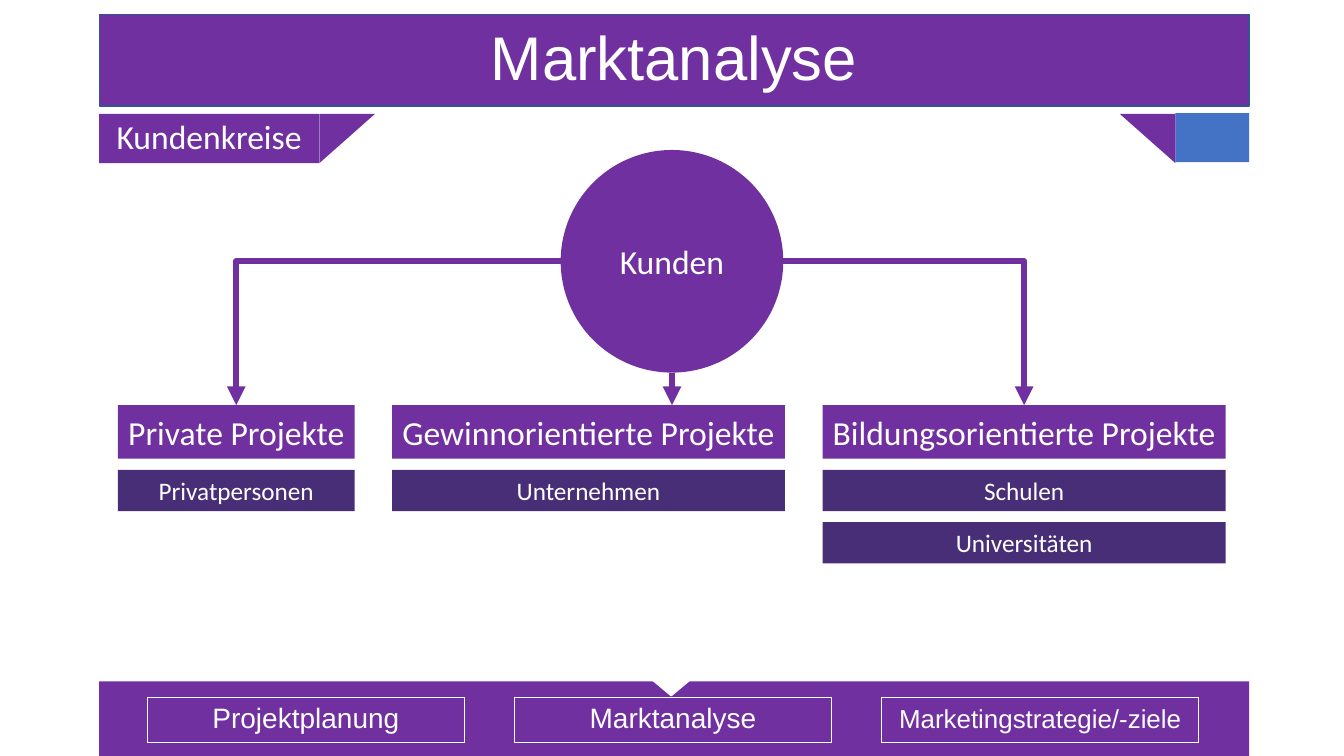
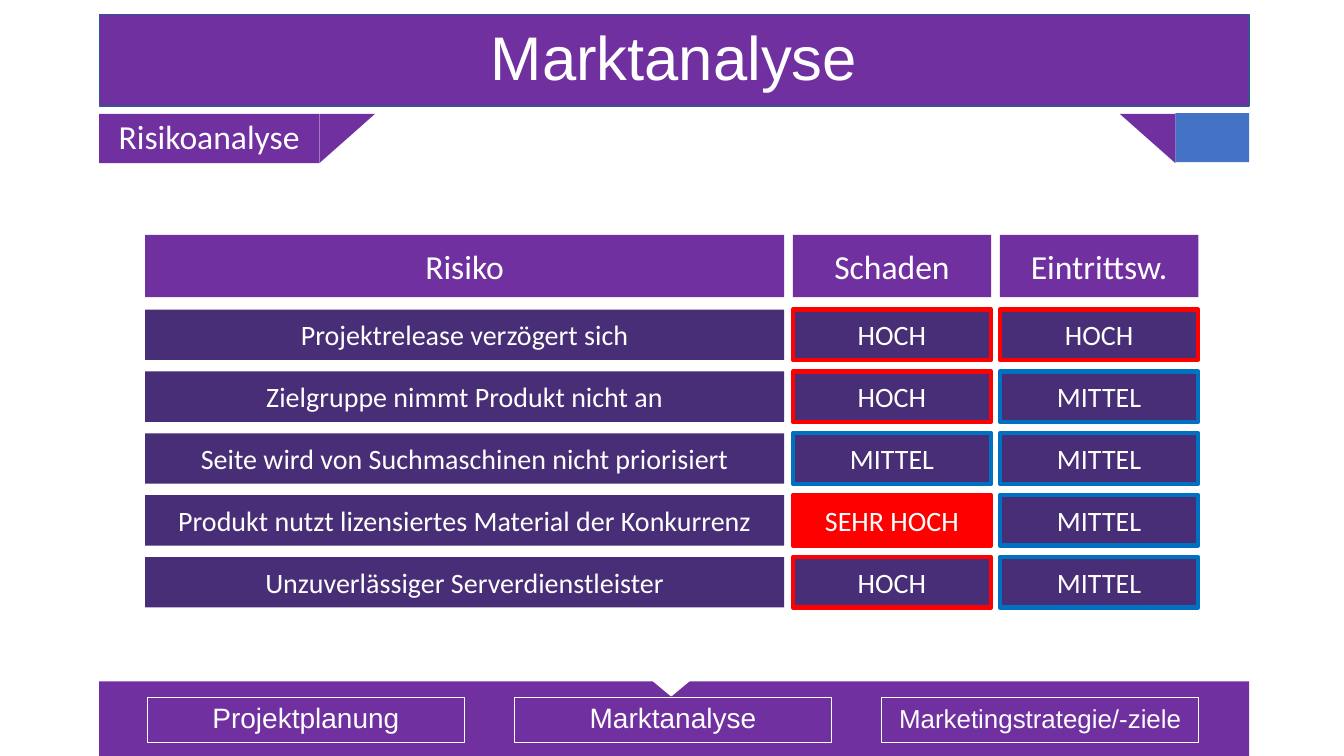
from lxml import etree
from pptx import Presentation
from pptx import util as u
from pptx.dml.color import RGBColor
from pptx.enum import shapes, text
from pptx.oxml.ns import qn

Cm, Pt = u.Cm, u.Pt
KIND = shapes.MSO_SHAPE

INK = {
    "main": "7030A0",
    "deep": "482E76",
    "edge": "325491",
    "blue": "4472C4",
    "mid": "0070C0",
    "high": "FF0000",
    "white": "FFFFFF",
}
TITLE = "Marktanalyse"
TABS = [("Projektplanung", 20), ("Marktanalyse", 20), ("Marketingstrategie/-ziele", 18.5)]
HUB = "Kunden"
GROUPS = [
    ("Private Projekte", 2.97, 5.97, ["Privatpersonen"]),
    ("Gewinnorientierte Projekte", 9.88, 9.9, ["Unternehmen"]),
    ("Bildungsorientierte Projekte", 20.73, 10.16, ["Schulen", "Universitäten"]),
]
HEADS = ["Risiko", "Schaden", "Eintrittsw."]
RISKS = [
    ("Projektrelease verzögert sich", "HOCH", "HOCH"),
    ("Zielgruppe nimmt Produkt nicht an", "HOCH", "MITTEL"),
    ("Seite wird von Suchmaschinen nicht priorisiert", "MITTEL", "MITTEL"),
    ("Produkt nutzt lizensiertes Material der Konkurrenz", "SEHR HOCH", "MITTEL"),
    ("Unzuverlässiger Serverdienstleister", "HOCH", "MITTEL"),
]
LEVELS = {
    "MITTEL": ("deep", "mid"),
    "HOCH": ("deep", "high"),
    "SEHR HOCH": ("high", "high"),
}

WIDE, HIGH = 33.87, 19.05
LEFT, SPAN = 2.5, 28.98
DECOR = [
    (KIND.RECTANGLE, (LEFT, 17.17, SPAN, 1.88), 0, "main", None),
    (KIND.ISOSCELES_TRIANGLE, (16.46, 17.15, 0.91, 0.38), 180, "white", "white"),
    (KIND.RIGHT_TRIANGLE, (8.13, 2.79, 1.24, 1.4), 90, "main", None),
    (KIND.RECTANGLE, (29.62, 2.85, 1.86, 1.24), 0, "blue", None),
    (KIND.RIGHT_TRIANGLE, (28.22, 2.87, 1.4, 1.24), 180, "main", None),
]
SLOTS = [(LEFT, 0.36, SPAN, 2.31), (LEFT, 2.87, 5.54, 1.24)]
SLOTS += [(3.71 + 9.25 * i, 17.58, 8, 1.12) for i in range(len(TABS))]


def paint(shape, fill, line=None, width=1):
    if fill:
        shape.fill.solid()
        shape.fill.fore_color.rgb = RGBColor.from_string(INK[fill])
    else:
        shape.fill.background()
    if line:
        shape.line.color.rgb = RGBColor.from_string(INK[line])
        shape.line.width = Pt(width)
    else:
        shape.line.fill.background()


def write(shape, words, size, face="Calibri"):
    frame = shape.text_frame
    frame.text = words
    frame.auto_size = text.MSO_AUTO_SIZE.NONE
    frame.vertical_anchor = text.MSO_ANCHOR.MIDDLE
    para = frame.paragraphs[0]
    para.alignment = text.PP_ALIGN.CENTER
    para.font.size = Pt(size)
    para.font.name = face
    para.font.bold = False
    para.font.color.rgb = RGBColor.from_string(INK["white"])
    return para


def draw(slide, kind, box, fill, line=None, width=1):
    shape = slide.shapes.add_shape(kind, *map(Cm, box))
    shape.shadow.inherit = False
    paint(shape, fill, line, width)
    return shape


def label(slide, box, words, size, fill, line=None, kind=KIND.RECTANGLE):
    shape = draw(slide, kind, box, fill, line, 3)
    write(shape, words, size).line_spacing = 1.0
    shape.text_frame.word_wrap = False
    return shape


def dress(layout, slide):
    for kind, box, turn, fill, line in DECOR:
        shape = draw(slide, kind, box, fill, line)
        shape.rotation = turn
        layout.shapes.element.append(shape.element)
    for slot, box in zip(layout.placeholders, SLOTS):
        slot.left, slot.top, slot.width, slot.height = map(Cm, box)


def fill_in(slide, topic):
    title, section, *tabs = slide.placeholders
    paint(title, "main", "edge")
    write(title, TITLE, 44, "Arial").line_spacing = 0.9
    paint(section, "main")
    paras = [write(section, topic, 24)]
    for tab, (words, size) in zip(tabs, TABS):
        paint(tab, None, "white", 0.75)
        paras.append(write(tab, words, size, "Arial"))
    for para in paras:
        para.line_spacing = 0.9
        para.space_before = Pt(10)
        props = para._p.get_or_add_pPr()
        props.set("marL", "0")
        props.set("indent", "0")
        etree.SubElement(props, qn("a:buNone"))


def arrow(slide, hub, site, start, end, head=None):
    kind = shapes.MSO_CONNECTOR.ELBOW if head else shapes.MSO_CONNECTOR.STRAIGHT
    link = slide.shapes.add_connector(kind, *map(Cm, start + end))
    link.line.color.rgb = RGBColor.from_string(INK["main"])
    link.line.width = Pt(4.5)
    etree.SubElement(link.line._get_or_add_ln(), qn("a:tailEnd"), type="triangle")
    props = link.element.spPr
    etree.SubElement(props, qn("a:effectLst"))
    if head:
        props.find(qn("a:prstGeom")).set("prst", "bentConnector2")
        joins = link.element.find(".//" + qn("p:cNvCxnSpPr"))
        etree.SubElement(joins, qn("a:stCxn"), id=str(hub.shape_id), idx=str(site))
        link.end_connect(head, 0)


def show_groups(slide):
    size, top, row = 5.61, 3.78, 10.21
    mid, axis = WIDE / 2, top + size / 2
    hub = label(slide, (mid - size / 2, top, size, size), HUB, 24, "main", kind=KIND.OVAL)
    heads = []
    for name, left, width, items in GROUPS:
        heads.append(label(slide, (left, row, width, 1.35), name, 24, "main"))
        for i, item in enumerate(items):
            label(slide, (left, 11.84 + 1.32 * i, width, 1.04), item, 18, "deep")
    ends = [left + width / 2 for _, left, width, _ in GROUPS]
    arrow(slide, hub, 2, (mid - size / 2, axis), (ends[0], row), heads[0])
    arrow(slide, hub, 4, (mid, top + size), (mid, row))
    arrow(slide, hub, 6, (mid + size / 2, axis), (ends[2], row), heads[2])


def show_risks(slide):
    gap, left, cols = 0.22, 3.66, []
    for width in (16.1, 5, 5):
        cols.append((left, width))
        left += width + gap
    for (left, width), head in zip(cols, HEADS):
        label(slide, (left, 5.92, width, 1.57), head, 24, "main")
    for i, risk in enumerate(RISKS):
        for (left, width), words in zip(cols, risk):
            fill, line = LEVELS.get(words, ("deep", None))
            label(slide, (left, 7.8 + 1.56 * i, width, 1.27), words, 20, fill, line)


def main():
    deck = Presentation()
    deck.slide_width, deck.slide_height = Cm(WIDE), Cm(HIGH)
    layout = deck.slide_layouts.get_by_name("Comparison")
    pages = [("Kundenkreise", show_groups), ("Risikoanalyse", show_risks)]
    for i, (topic, show) in enumerate(pages):
        slide = deck.slides.add_slide(layout)
        if i == 0:
            dress(layout, slide)
        fill_in(slide, topic)
        show(slide)
    deck.save("out.pptx")


if __name__ == "__main__":
    main()
